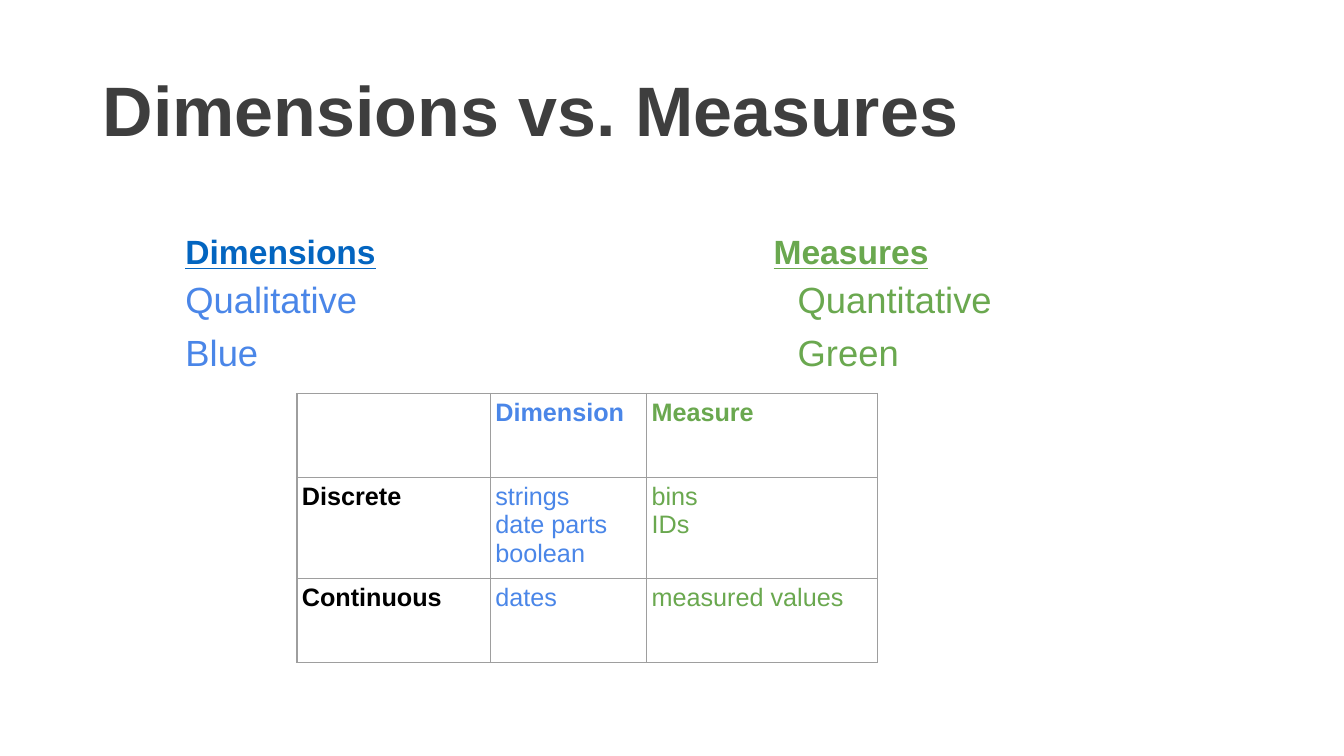
from lxml import etree
from pptx import Presentation
from pptx import util as u
from pptx.dml.color import RGBColor
from pptx.enum import text
from pptx.oxml import ns

PX = 9144  # EMU per px, 100 px to the inch
FONT = "Arial"
DARK = RGBColor(0x3E, 0x3E, 0x3E)
NAVY = RGBColor(0x03, 0x65, 0xC0)
BLUE = RGBColor(0x4A, 0x86, 0xE8)
GREEN = RGBColor(0x6A, 0xA8, 0x4F)
BLACK = RGBColor(0, 0, 0)
GRAY = "9E9E9E"
TOP, MID, LOW = text.MSO_ANCHOR.TOP, text.MSO_ANCHOR.MIDDLE, text.MSO_ANCHOR.BOTTOM


def px(n):
    return u.Emu(n * PX)


def write(frame, lines, size, color, bold=False, line=None, gap=0):
    """Fill a text frame, one paragraph per line."""
    frame.text = "\n".join(lines)
    for i, para in enumerate(frame.paragraphs):
        if line:
            para.line_spacing = line
        if i and gap:
            para.space_before = u.Pt(gap)
        font = para.font
        font.name, font.size, font.bold = FONT, u.Pt(size), bold
        font.color.rgb = color


def label(slide, box, lines, size, color, bold=False, anchor=TOP):
    frame = slide.shapes.add_textbox(*map(px, box)).text_frame
    frame.word_wrap = True
    frame.vertical_anchor = anchor
    frame.margin_left = frame.margin_right = px(20)
    frame.margin_top = frame.margin_bottom = px(10)
    write(frame, lines, size, color, bold, 0.9, 20)
    return frame


def column(slide, box, head, tint, lines, color, shift=0):
    """Underlined heading above a list, the list moved right by shift."""
    left, top, width, height = box
    split = 180
    frame = label(slide, (left, top, width, split), [head], 48, tint, True, LOW)
    frame.paragraphs[0].font.underline = True
    body = (left + shift, top + split, width, height - split)
    label(slide, body, lines, 52, color)


def border(cell):
    props = cell._tc.get_or_add_tcPr()
    for i, side in enumerate(("lnL", "lnR", "lnT", "lnB")):
        edge = etree.Element(ns.qn("a:" + side), w=str(u.Pt(2.25)))
        fill = etree.SubElement(edge, ns.qn("a:solidFill"))
        etree.SubElement(fill, ns.qn("a:srgbClr"), val=GRAY)
        props.insert(i, edge)


def matrix(slide, left, top, widths, heights, rows):
    """Grid with bold row and column heads, coloured by column."""
    box = (left, top, sum(widths), sum(heights))
    grid = slide.shapes.add_table(len(rows), len(widths), *map(px, box)).table
    grid.first_row = grid.horz_banding = False
    for col, width in zip(grid.columns, widths):
        col.width = px(width)
    for r, (row, height) in enumerate(zip(rows, heights)):
        grid.rows[r].height = px(height)
        for c, (words, color) in enumerate(zip(row, (BLACK, BLUE, GREEN))):
            cell = grid.cell(r, c)
            cell.margin_left = cell.margin_right = px(10)
            cell.margin_top = cell.margin_bottom = px(10)
            cell.fill.background()
            border(cell)
            write(cell.text_frame, words, 36, color, r == 0 or c == 0)


def main():
    deck = Presentation()
    deck.slide_width, deck.slide_height = px(2667), px(1500)
    slide = deck.slides.add_slide(deck.slide_layouts[6])

    # Title
    label(slide, (184, 80, 2300, 290), ["Dimensions vs. Measures"],
          100, DARK, True, MID)

    # Two compared columns
    column(slide, (348, 370, 1128, 986), "Dimensions", NAVY,
           ["Qualitative", "Blue"], BLUE)
    column(slide, (1515, 370, 1134, 986), "Measures", GREEN,
           ["Quantitative", "Green"], GREEN, 48)

    # Table of examples
    matrix(slide, 589, 781, (384, 310, 458), (167, 200, 167), [
        ([""], ["Dimension"], ["Measure"]),
        (["Discrete"], ["strings", "date parts", "boolean"], ["bins", "IDs"]),
        (["Continuous"], ["dates"], ["measured values"]),
    ])

    deck.save("out.pptx")


if __name__ == "__main__":
    main()
